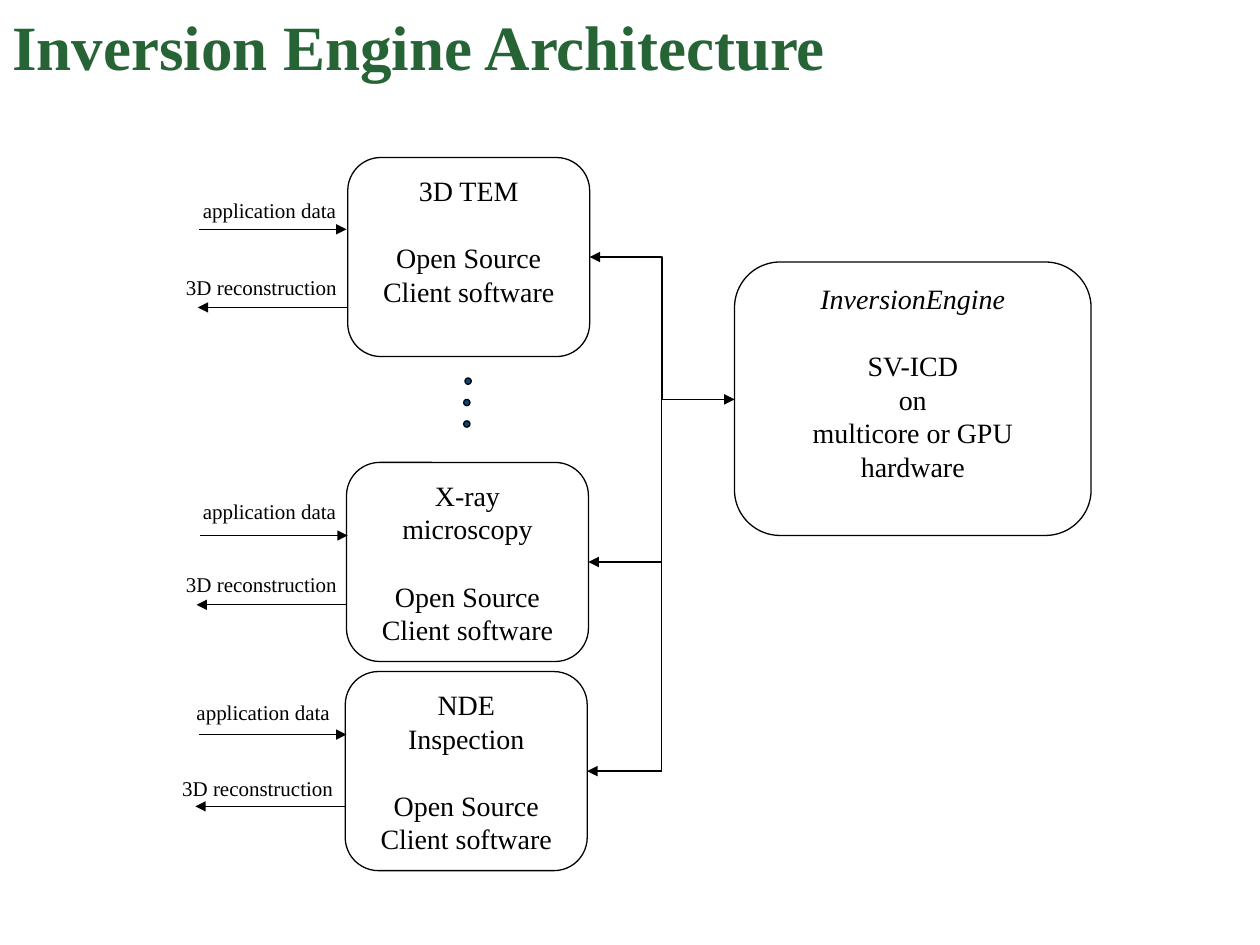
from collections import namedtuple

from lxml.etree import SubElement
from pptx import Presentation
from pptx.dml.color import RGBColor
from pptx.enum.shapes import MSO_CONNECTOR as Connector, MSO_SHAPE as Shape
from pptx.enum.text import MSO_ANCHOR as Anchor, PP_ALIGN as Align
from pptx.oxml.ns import qn
from pptx.util import Inches, Pt

BLACK = RGBColor(0x00, 0x00, 0x00)
GREEN = RGBColor(0x26, 0x64, 0x36)
BLUE = RGBColor(0x00, 0x48, 0x80)

BODY = {"name": "Times New Roman", "size": Pt(16)}
LABEL = {"name": "Times New Roman", "size": Pt(12)}
TITLE = {"name": "Times New Roman", "size": Pt(36), "bold": True}
LINE_HEIGHT = Pt(19.2)

CLIENT_WIDTH, CLIENT_HEIGHT = 1.92, 1.58
BUS_X, ENGINE_Y = 5.25, 3.17
CLIENT_TEXT = "Open Source Client software"

# Labels are (left, top, width); input_start and the two y values place arrows
Client = namedtuple("Client", "left top heading input_start input_y output_y "
                              "input_label output_label")
CLIENTS = [
    Client(2.76, 1.25, ["3D TEM"], 1.58, 1.82, 2.44,
           (1.41, 1.52, 1.46), (1.2, 2.13, 1.75)),
    Client(2.75, 3.67, ["X-ray microscopy"], 1.59, 4.25, 4.8,
           (1.41, 3.91, 1.46), (1.3, 4.49, 1.55)),
    Client(2.74, 5.33, ["NDE", "Inspection"], 1.58, 5.83, 6.4,
           (1.36, 5.5, 1.46), (1.27, 6.11, 1.55)),
]


def add_run(paragraph, text, font_format, color):
    run = paragraph.add_run()
    run.text = text
    for name, value in font_format.items():
        setattr(run.font, name, value)
    run.font.color.rgb = color


def add_text(slide, text, left, top, width, height, font_format,
             color=BLACK, **paragraph_format):
    box = slide.shapes.add_textbox(*map(Inches, (left, top, width, height)))
    box.text_frame.word_wrap = True
    paragraph = box.text_frame.paragraphs[0]
    for name, value in paragraph_format.items():
        setattr(paragraph, name, value)
    add_run(paragraph, text, font_format, color)
    return box


def add_outlined(slide, kind, left, top, width, height):
    shape = slide.shapes.add_shape(
        kind, *map(Inches, (left, top, width, height)))
    shape.shadow.inherit = False
    shape.fill.background()
    shape.line.color.rgb = BLACK
    shape.line.width = Pt(0.75)
    return shape


def add_block(slide, left, top, width, height, heading, details, italic=False):
    """Rounded box with heading lines, a one-line gap, then detail lines."""
    shape = add_outlined(slide, Shape.ROUNDED_RECTANGLE,
                         left, top, width, height)
    frame = shape.text_frame
    frame.word_wrap = True
    frame.vertical_anchor = Anchor.TOP
    for index, text in enumerate(heading + details):
        paragraph = frame.add_paragraph() if index else frame.paragraphs[0]
        paragraph.alignment = Align.CENTER
        paragraph.line_spacing = LINE_HEIGHT
        if index == len(heading):
            paragraph.space_before = LINE_HEIGHT
        is_italic = italic and index < len(heading)
        add_run(paragraph, text, {**BODY, "italic": is_italic}, BLACK)


def add_line(slide, start, end, kind=Connector.STRAIGHT, arrows=("tailEnd",)):
    line = slide.shapes.add_connector(kind, *map(Inches, (*start, *end)))
    line.line.color.rgb = BLACK
    line.line.width = Pt(0.75)
    outline = line.line._get_or_add_ln()
    for arrow in arrows:
        SubElement(outline, qn(f"a:{arrow}"), type="triangle")
    SubElement(line._element.spPr, qn("a:effectLst"))


def add_label(slide, text, place):
    left, top, width = place
    add_text(slide, text, left, top, width, 0.3, LABEL, alignment=Align.CENTER)


def add_client(slide, client):
    add_block(slide, client.left, client.top, CLIENT_WIDTH, CLIENT_HEIGHT,
              client.heading, [CLIENT_TEXT])
    add_line(slide, (client.input_start, client.input_y),
             (client.input_start + 1.17, client.input_y))
    add_label(slide, "application data", client.input_label)
    add_line(slide, (client.left, client.output_y),
             (client.left - 1.19, client.output_y))
    add_label(slide, "3D reconstruction", client.output_label)


def add_bus(slide):
    """Join every client to the engine."""
    ports = [(client.left + CLIENT_WIDTH, client.top + CLIENT_HEIGHT / 2)
             for client in CLIENTS]
    add_line(slide, ports[0], (5.83, ENGINE_Y), Connector.ELBOW,
             ("headEnd", "tailEnd"))
    for port in ports[1:]:
        add_line(slide, (BUS_X, port[1]), port)
    add_line(slide, (BUS_X, ENGINE_Y), (BUS_X, ports[-1][1]), arrows=())


def add_dots(slide):
    for index, left in enumerate((3.69, 3.68, 3.68)):
        dot = add_outlined(slide, Shape.OVAL, left, 3 + 0.17 * index,
                           0.05, 0.05)
        dot.fill.solid()
        dot.fill.fore_color.rgb = BLUE


def main():
    presentation = Presentation()
    presentation.slide_width = Inches(10)
    presentation.slide_height = Inches(7.5)
    slide = presentation.slides.add_slide(presentation.slide_layouts[6])

    # Title
    title = add_text(slide, "Inversion Engine Architecture", 0, 0.03, 10, 0.72,
                     TITLE, GREEN, line_spacing=0.95)
    title.text_frame.vertical_anchor = Anchor.MIDDLE

    # Clients, with dots for further ones
    for client in CLIENTS:
        add_client(slide, client)
    add_dots(slide)

    # Engine and its links
    add_block(slide, 5.83, 2.08, 2.83, 2.17, ["InversionEngine"],
              ["SV-ICD", "on", "multicore or GPU hardware"], italic=True)
    add_bus(slide)

    presentation.save("out.pptx")


main()
